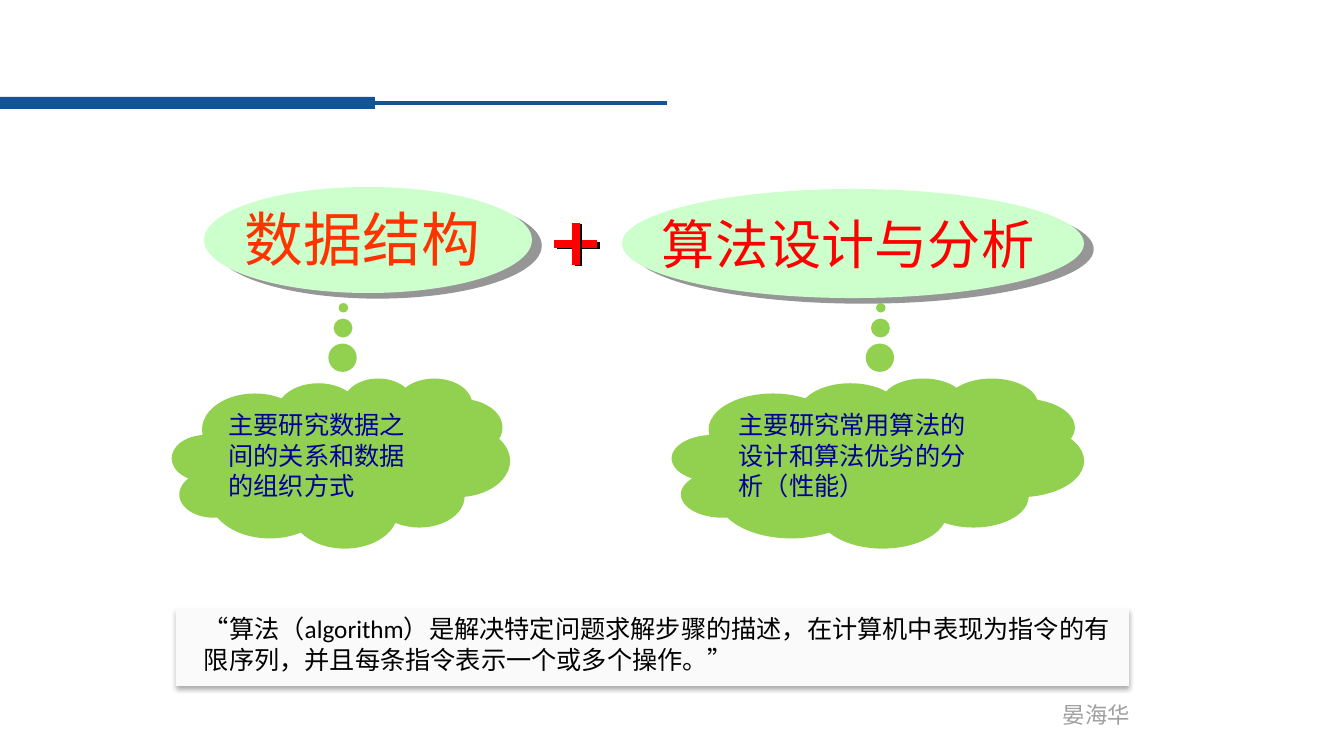
from dataclasses import dataclass
from typing import NamedTuple, Optional

from lxml.etree import SubElement
from pptx import Presentation
from pptx.dml.color import RGBColor
from pptx.enum.shapes import MSO_CONNECTOR, MSO_SHAPE
from pptx.enum.text import MSO_ANCHOR, PP_ALIGN
from pptx.oxml.ns import qn
from pptx.util import Emu, Pt


@dataclass(frozen=True)
class Theme:
    """Colours, fonts and type sizes of the slide."""
    blue: str = "145396"
    mint: str = "CCFFCC"
    green: str = "92D050"
    pale: str = "FAFAFA"
    orange: str = "FF3300"
    red: str = "FF0000"
    navy: str = "000099"
    black: str = "000000"
    grey: str = "9F9F9F"
    shade: str = "969696"
    latin: str = "Calibri"
    han: str = "Noto Sans CJK SC"
    large: int = 42
    title: int = 38
    body: int = 18
    small: int = 16


class Box(NamedTuple):
    """Left, top, width and height in px."""
    x: int
    y: int
    w: int
    h: int


class Shade(NamedTuple):
    """A cast shadow: lengths in points, angle in degrees, alpha in percent."""
    color: str
    blur: float
    dist: float
    angle: int
    alpha: int = 100


class Form(NamedTuple):
    """A filled preset shape."""
    kind: MSO_SHAPE
    box: Box
    fill: str
    shade: Optional[Shade] = None


class Label(NamedTuple):
    """A line of text in its own box."""
    text: str
    box: Box
    size: int
    color: str
    wrap: bool = True


class Cloud(NamedTuple):
    """A thought cloud with its text."""
    text: str
    box: Box


class Bar(NamedTuple):
    """A straight line from one point to another."""
    x: int
    y: int
    to_x: int
    to_y: int
    color: str
    width: float
    shade: Optional[Shade] = None


LOOK = Theme()
DROP = Shade(LOOK.shade, 0, 8.1, 30)
EDGE = Shade(LOOK.black, 0, 2.2, 27)
SOFT = Shade(LOOK.black, 3.5, 2.2, 90, 32)

STRIP = Form(MSO_SHAPE.RECTANGLE, Box(0, 97, 375, 12), LOOK.blue)
NOTE = Form(MSO_SHAPE.RECTANGLE, Box(176, 608, 953, 78), LOOK.pale, SOFT)
OVALS = [
    Form(MSO_SHAPE.OVAL, Box(204, 187, 328, 106), LOOK.mint, DROP),
    Form(MSO_SHAPE.OVAL, Box(622, 189, 462, 109), LOOK.mint, DROP),
]
LABELS = [
    Label("晏海华", Box(1053, 696, 89, 37), LOOK.small, LOOK.grey, False),
    Label("数据结构", Box(235, 197, 395, 81), LOOK.large, LOOK.orange),
    Label("算法设计与分析", Box(652, 206, 471, 74), LOOK.title, LOOK.red),
]
BARS = [
    Bar(371, 103, 667, 103, LOOK.blue, 2.25),
    Bar(597, 244, 554, 244, LOOK.red, 5.25, EDGE),
    Bar(576, 223, 576, 265, LOOK.red, 5.25, EDGE),
]
CLOUDS = [
    Cloud("主要研究数据之间的关系和数据的组织方式", Box(172, 378, 338, 170)),
    Cloud("主要研究常用算法的设计和算法优劣的分析（性能）",
          Box(672, 378, 412, 170)),
]
QUOTE = [
    ("“算法（", LOOK.han),
    ("algorithm）", LOOK.latin),
    ("是解决特定问题求解步骤的描述，在计算机中表现为指令的"
     "有限序列，并且每条指令表示一个或多个操作。”", LOOK.han),
]


def px(size: int) -> Emu:
    """Turn px into EMU."""
    return Emu(size * 9144000 // 1008)


def cast(shape, shade: Optional[Shade]) -> None:
    """Give a shape the shadow, or none."""
    root = SubElement(shape._element.spPr, qn("a:effectLst"))
    if shade:
        drop = SubElement(root, qn("a:outerShdw"), blurRad=str(Pt(shade.blur)),
                          dist=str(Pt(shade.dist)), dir=str(shade.angle * 60000),
                          algn="ctr", rotWithShape="0")
        tint = SubElement(drop, qn("a:srgbClr"), val=shade.color)
        SubElement(tint, qn("a:alpha"), val=str(shade.alpha * 1000))


def write(shape, text: str, *, size: int, color: str, face: str,
          wrap: bool = True, anchor: MSO_ANCHOR = MSO_ANCHOR.TOP) -> None:
    """Add a run of text to the first paragraph of a shape."""
    frame = shape.text_frame
    frame.word_wrap = wrap
    frame.vertical_anchor = anchor
    para = frame.paragraphs[0]
    para.alignment = PP_ALIGN.LEFT
    para.line_spacing = Pt(size * 1.22)
    run = para.add_run()
    run.text = text
    run.font.size = Pt(size)
    run.font.color.rgb = RGBColor.from_string(color)
    run.font.name = face
    SubElement(run.font._element, qn("a:ea"), typeface=face)


def draw_form(slide, form: Form):
    """Draw a filled shape without an outline."""
    shape = slide.shapes.add_shape(form.kind, *map(px, form.box))
    shape.fill.solid()
    shape.fill.fore_color.rgb = RGBColor.from_string(form.fill)
    shape.line.fill.background()
    cast(shape, form.shade)
    return shape


def draw_label(slide, label: Label) -> None:
    """Draw a text box."""
    shape = slide.shapes.add_textbox(*map(px, label.box))
    write(shape, label.text, size=label.size, color=label.color,
          face=LOOK.latin, wrap=label.wrap, anchor=MSO_ANCHOR.MIDDLE)


def draw_bar(slide, bar: Bar) -> None:
    """Draw a straight line."""
    line = slide.shapes.add_connector(
        MSO_CONNECTOR.STRAIGHT, px(bar.x), px(bar.y), px(bar.to_x), px(bar.to_y))
    line.line.color.rgb = RGBColor.from_string(bar.color)
    line.line.width = Pt(bar.width)
    cast(line, bar.shade)


def draw_cloud(slide, cloud: Cloud) -> None:
    """Draw a thought cloud that points up."""
    shape = draw_form(slide, Form(MSO_SHAPE.CLOUD_CALLOUT, cloud.box, LOOK.green))
    shape.adjustments[0] = 0.007
    shape.adjustments[1] = -0.913
    write(shape, cloud.text, size=LOOK.body, color=LOOK.navy, face=LOOK.han)


def draw_note(slide) -> None:
    """Draw the definition at the foot of the slide."""
    shape = draw_form(slide, NOTE)
    for text, face in QUOTE:
        write(shape, text, size=LOOK.body, color=LOOK.black, face=face)
    props = shape.text_frame.paragraphs[0]._p.get_or_add_pPr()
    props.set("marL", str(px(18)))
    props.set("indent", "0")


def main() -> None:
    """Build the slide and save it."""
    deck = Presentation()
    deck.slide_width, deck.slide_height = px(1344), px(756)
    slide = deck.slides.add_slide(deck.slide_layouts[6])
    for form in [STRIP, *OVALS]:
        draw_form(slide, form)
    for label in LABELS:
        draw_label(slide, label)
    for bar in BARS:
        draw_bar(slide, bar)
    draw_note(slide)
    for cloud in CLOUDS:
        draw_cloud(slide, cloud)
    deck.save("out.pptx")


if __name__ == "__main__":
    main()
